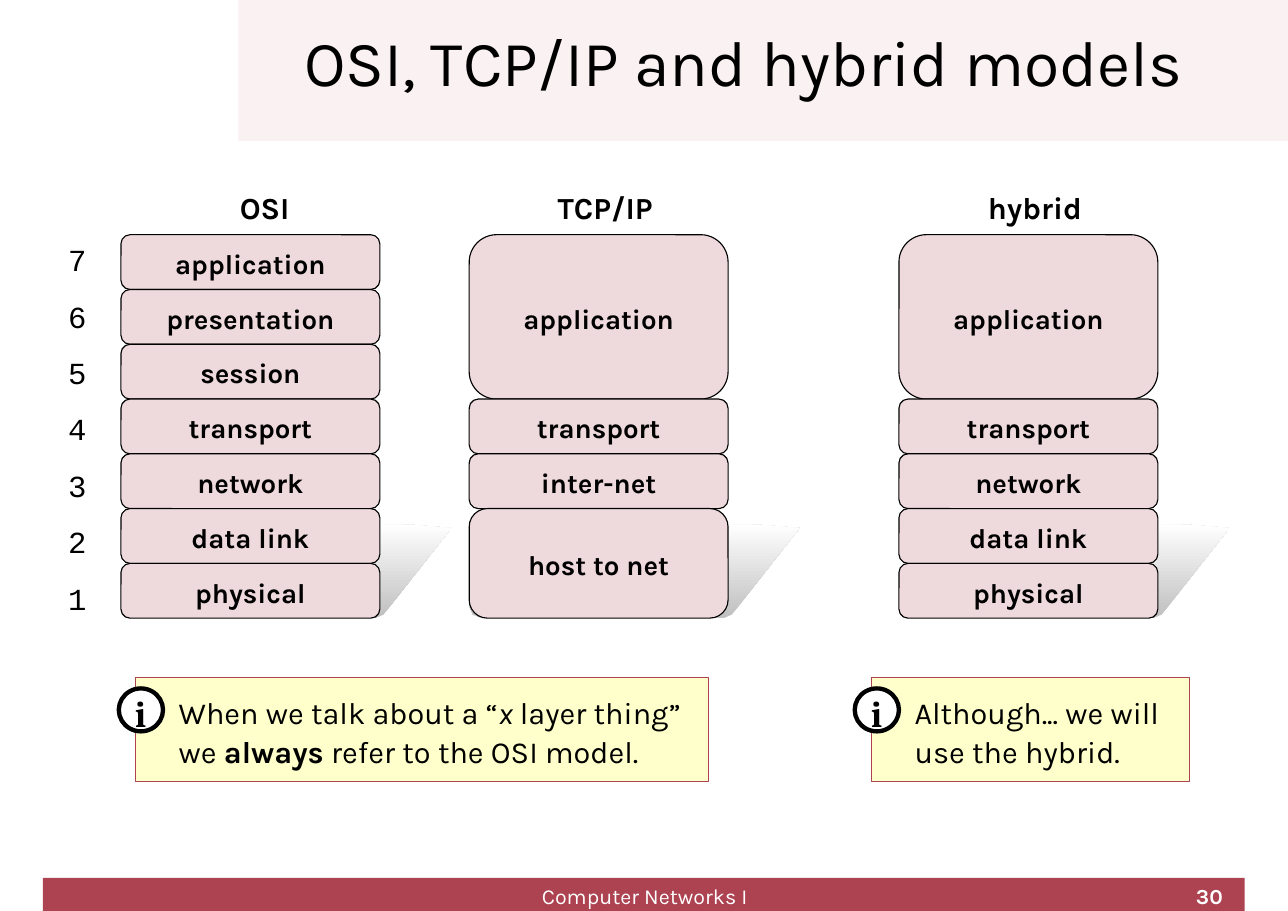
from lxml import etree
from pptx import Presentation
from pptx.dml.color import RGBColor
from pptx.enum import shapes, text
from pptx.oxml import ns
from pptx.util import Cm, Pt

BLACK = RGBColor(0x00, 0x00, 0x00)
WHITE = RGBColor(0xFF, 0xFF, 0xFF)
GREY = RGBColor(0xC0, 0xC0, 0xC0)
CRIMSON = RGBColor(0xAD, 0x42, 0x51)
BLUSH = RGBColor(0xF9, 0xF1, 0xF2)
PINK = RGBColor(0xEE, 0xD9, 0xDC)
YELLOW = RGBColor(0xFF, 0xFF, 0x99)

LEFT, CENTER, RIGHT = text.PP_ALIGN.LEFT, text.PP_ALIGN.CENTER, text.PP_ALIGN.RIGHT
TOP, MIDDLE = text.MSO_ANCHOR.TOP, text.MSO_ANCHOR.MIDDLE
KIND = shapes.MSO_SHAPE

TITLE = "OSI, TCP/IP and hybrid models"
COURSE = "Computer Networks I"
PAGE_NUMBER = "30"

# Heading, left of stack, left of heading, layers as (name, rows spanned)
MODELS = [
    ("OSI", 2.79, 4.85, [("application", 1), ("presentation", 1), ("session", 1),
                         ("transport", 1), ("network", 1), ("data link", 1),
                         ("physical", 1)]),
    ("TCP/IP", 10.82, 12.7, [("application", 3), ("transport", 1),
                             ("inter-net", 1), ("host to net", 2)]),
    ("hybrid", 20.73, 22.61, [("application", 3), ("transport", 1), ("network", 1),
                              ("data link", 1), ("physical", 1)]),
]
# Left, width, paragraphs of (words, style)
NOTES = [
    (3.12, 13.21, [[("When we talk about a “", ""), ("x", "italic"), (" layer thing”", "")],
                   [("we ", ""), ("always", "bold"), (" refer to the OSI model.", "")]]),
    (20.09, 7.34, [[("Although... we will use the hybrid.", "")]]),
]
# Slanted shadow, measured from the left of a stack and the shadow's top
SHADOW = [(0.28, 2.18), (0.08, 2.1), (0, 1.9), (1.47, 0.1), (2.4, 0.03), (4.55, 0),
          (6.7, 0.03), (7.62, 0.1), (6.25, 1.85), (6.05, 2.1), (5.87, 2.18)]

LAYERS = 7
STACK_TOP, STACK_WIDTH, STACK_HEIGHT = 5.41, 5.97, 8.84
ROW = STACK_HEIGHT / LAYERS
SHADOW_TOP = 12.07
NUMBER_TOP, NUMBER_STEP = 5.49, 1.3
NOTE_TOP, NOTE_HEIGHT = 15.62, 2.4


def write(shape, paragraphs, size, font="Karla", color=BLACK, bold=False,
          align=LEFT, anchor=TOP, spacing=1.08, inset=(0, 0)):
    """Fill a shape with paragraphs, each a list of (words, style) runs."""
    frame = shape.text_frame
    frame.word_wrap = True
    frame.auto_size = text.MSO_AUTO_SIZE.NONE
    frame.vertical_anchor = anchor
    frame.margin_left, frame.margin_top = Cm(inset[0]), Cm(inset[1])
    frame.margin_right = frame.margin_bottom = 0
    for index, spans in enumerate(paragraphs):
        para = frame.add_paragraph() if index else frame.paragraphs[0]
        para.alignment = align
        para.line_spacing = spacing
        for words, style in spans:
            span = para.add_run()
            span.text = words
            span.font.name, span.font.size = font, Pt(size)
            span.font.color.rgb = color
            span.font.bold = bold or style == "bold"
            span.font.italic = style == "italic"


def add_label(parent, words, left, top, width, height, size, **style):
    box = parent.add_textbox(Cm(left), Cm(top), Cm(width), Cm(height))
    write(box, [[(words, "")]], size, **style)


def add_block(parent, kind, left, top, width, height, fill, line=None, weight=0):
    block = parent.add_shape(kind, Cm(left), Cm(top), Cm(width), Cm(height))
    block.shadow.inherit = False
    block.fill.solid()
    block.fill.fore_color.rgb = fill
    if line is None:
        block.line.fill.background()
    else:
        block.line.color.rgb = line
        block.line.width = Pt(weight)
    return block


def add_shadow(parent, left):
    points = [(Cm(left + x), Cm(SHADOW_TOP + y)) for x, y in SHADOW]
    builder = parent.build_freeform(*points[0])
    builder.add_line_segments(points[1:], close=True)
    shadow = builder.convert_to_shape()
    shadow.shadow.inherit = False
    shadow.line.fill.background()
    shadow.fill.gradient()
    shadow.fill.gradient_angle = 90
    for stop, color, position in zip(shadow.fill.gradient_stops, (GREY, WHITE), (0, 1)):
        stop.color.rgb = color
        stop.position = position


def add_model(parent, heading, left, heading_left, layers):
    add_label(parent, heading, heading_left, 4.29, 2.51, 1.07, 20, bold=True, align=CENTER)
    top = STACK_TOP
    for name, rows in layers:
        layer = add_block(parent, KIND.ROUNDED_RECTANGLE, left, top, STACK_WIDTH,
                          rows * ROW, PINK, BLACK)
        write(layer, [[(name, "")]], 18, bold=True, align=CENTER, anchor=MIDDLE)
        top += rows * ROW


def add_note(parent, left, width, paragraphs):
    """Add a half-transparent note with an info badge on its left edge."""
    note = add_block(parent, KIND.RECTANGLE, left, NOTE_TOP, width, NOTE_HEIGHT,
                     YELLOW, CRIMSON)
    color = note.fill._xPr.find(".//" + ns.qn("a:srgbClr"))
    etree.SubElement(color, ns.qn("a:alpha")).set("val", "50000")
    write(note, paragraphs, 20, inset=(1, 0.3))
    badge = parent.add_group_shape().shapes
    add_block(badge, KIND.OVAL, left - 0.38, NOTE_TOP + 0.25, 1.02, 0.99,
              WHITE, BLACK, 2.83)
    add_label(badge, "i", left - 0.12, NOTE_TOP + 0.23, 0.48, 1.24, 24,
              font="Cambria", bold=True, align=CENTER)


def main():
    deck = Presentation()
    deck.slide_width, deck.slide_height = Cm(29.7), Cm(21)
    page = deck.slides.add_slide(deck.slide_layouts[5])
    parts = page.shapes
    title = parts.title

    add_block(parts, KIND.RECTANGLE, 5.5, 0, 24.2, 3.25, BLUSH)
    add_block(parts, KIND.RECTANGLE, 0.99, 20.24, 27.71, 0.76, CRIMSON)

    parts._spTree.append(title._element)  # bring the title in front of its band
    title.left, title.top, title.width, title.height = Cm(7.01), 0, Cm(22.12), Cm(3.15)
    write(title, [[(TITLE, "")]], 42, anchor=MIDDLE, spacing=0.8)

    for model in MODELS:
        add_shadow(parts, model[1])
    for model in MODELS:
        add_model(parts, *model)
    for row in range(LAYERS):
        add_label(parts, str(LAYERS - row), 1.57, NUMBER_TOP + row * NUMBER_STEP,
                  0.81, 1.04, 20, font="Courier New")
    for note in NOTES:
        add_note(parts, *note)

    add_label(parts, COURSE, 10.16, 20.35, 9.42, 0.58, 14, color=WHITE,
              align=CENTER, spacing=1)
    add_label(parts, PAGE_NUMBER, 21.29, 20.35, 6.91, 0.58, 14, color=WHITE,
              bold=True, align=RIGHT, spacing=1)
    deck.save("out.pptx")


if __name__ == "__main__":
    main()
